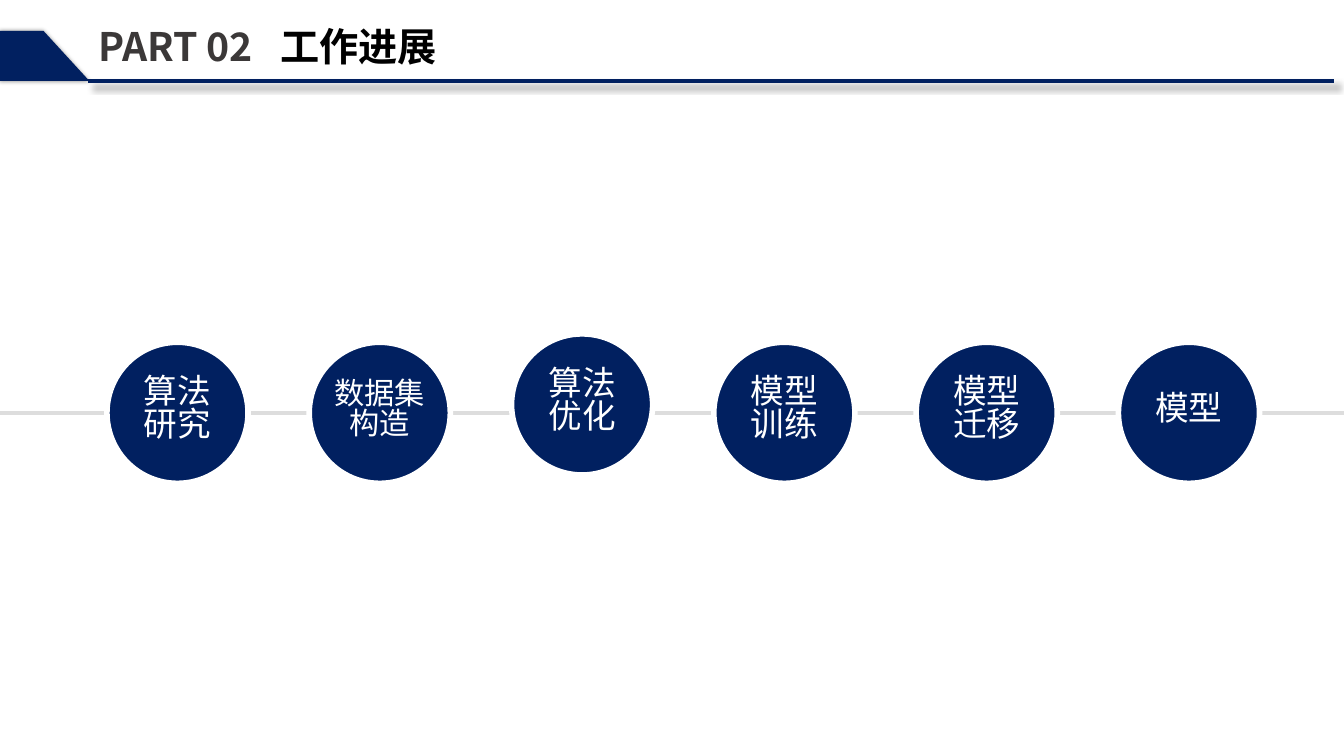
from dataclasses import dataclass

import pptx
import pptx.dml.color
import pptx.enum.shapes
import pptx.enum.text
import pptx.oxml
import pptx.oxml.ns
import pptx.util
from lxml import etree

Pt = pptx.util.Pt
RGBColor = pptx.dml.color.RGBColor
qn = pptx.oxml.ns.qn

NAVY = RGBColor(0x01, 0x20, 0x60)
DARK = RGBColor(0x3B, 0x38, 0x38)
BLACK = RGBColor(0, 0, 0)
GREY = RGBColor(0xDD, 0xDD, 0xDD)
WHITE = RGBColor(0xFF, 0xFF, 0xFF)
FONT = "Noto Sans CJK SC"

WIDTH, HEIGHT = 960, 540
DIAMETER = 100.8
FIRST_LEFT, PITCH, STEP_TOP = 76.4, 144.5, 244.5


@dataclass
class Step:
    label: str
    size: float = 24
    rise: float = 0


STEPS = [
    Step("算法研究"),
    Step("数据集构造", size=21.6),
    Step("算法优化", rise=6),
    Step("模型训练"),
    Step("模型迁移"),
    Step("模型"),
]


def format_run(r, size: float, color: RGBColor, bold: bool = False) -> None:
    r.font.size = Pt(size)
    r.font.name = FONT
    r.font.bold = bold
    r.font.color.rgb = color
    ea = etree.SubElement(r.font._element, qn("a:ea"))
    ea.set("typeface", FONT)


def add_shadow(sp, blur: float, dist: float = 0) -> None:
    effects = etree.SubElement(sp._element.spPr, qn("a:effectLst"))
    shadow = etree.SubElement(effects, qn("a:outerShdw"), blurRad=str(Pt(blur)),
                              dist=str(Pt(dist)), dir="2700000", algn="ctr",
                              rotWithShape="0")
    color = etree.SubElement(shadow, qn("a:srgbClr"), val="000000")
    etree.SubElement(color, qn("a:alpha"), val="40000")


def add_rule(s, x1: float, x2: float, y: float, color: RGBColor, width: float):
    line = s.shapes.add_connector(pptx.enum.shapes.MSO_CONNECTOR.STRAIGHT,
                                  Pt(x1), Pt(y), Pt(x2), Pt(y))
    line.line.color.rgb = color
    line.line.width = Pt(width)
    return line


def add_header(s) -> None:
    # Slanted tab
    builder = s.shapes.build_freeform(Pt(0), Pt(57.8), scale=1.0)
    builder.add_line_segments([(Pt(63.8), Pt(57.8)), (Pt(31), Pt(22)), (0, Pt(22))])
    tab = builder.convert_to_shape()
    tab.fill.solid()
    tab.fill.fore_color.rgb = NAVY
    tab.line.fill.background()
    add_shadow(tab, 3)

    # Underline
    add_shadow(add_rule(s, 63.2, 953, 57.9, NAVY, 2.25), 5, 5)

    # Title
    tf = s.shapes.add_textbox(Pt(63.2), Pt(16.6), Pt(365), Pt(75)).text_frame
    tf.word_wrap = True
    p = tf.paragraphs[0]
    p.line_spacing = 0.88
    tabs = etree.SubElement(p._p.get_or_add_pPr(), qn("a:tabLst"))
    etree.SubElement(tabs, qn("a:tab"), pos=str(Pt(130)), algn="l")
    for text, color in (("PART 02\t", DARK), ("工作进展", BLACK)):
        r = p.add_run()
        r.text = text
        format_run(r, 28, color, bold=True)


def add_step(s, index: int, step: Step) -> None:
    sp = s.shapes.add_shape(pptx.enum.shapes.MSO_SHAPE.OVAL,
                            Pt(FIRST_LEFT + index * PITCH), Pt(STEP_TOP - step.rise),
                            Pt(DIAMETER), Pt(DIAMETER))
    sp.shadow.inherit = False
    sp.fill.solid()
    sp.fill.fore_color.rgb = NAVY
    sp.line.color.rgb = WHITE
    sp.line.width = Pt(4)
    tf = sp.text_frame
    tf.text = step.label
    tf.word_wrap = True
    tf.vertical_anchor = pptx.enum.text.MSO_ANCHOR.MIDDLE
    tf.margin_left = tf.margin_top = tf.margin_right = Pt(0)
    tf.margin_bottom = Pt(3.6)
    p = tf.paragraphs[0]
    p.alignment = pptx.enum.text.PP_ALIGN.CENTER
    p.line_spacing = 0.82
    format_run(p.runs[0], step.size, WHITE)


def main() -> None:
    prs = pptx.Presentation()
    prs.slide_width, prs.slide_height = Pt(WIDTH), Pt(HEIGHT)
    s = prs.slides.add_slide(prs.slide_layouts[6])
    add_header(s)

    # Timeline with its steps
    timeline = add_rule(s, 0, WIDTH, STEP_TOP + DIAMETER / 2, GREY, 3)
    etree.SubElement(timeline._element.spPr, qn("a:effectLst"))
    for index, step in enumerate(STEPS):
        add_step(s, index, step)
    prs.save("out.pptx")


if __name__ == "__main__":
    main()
